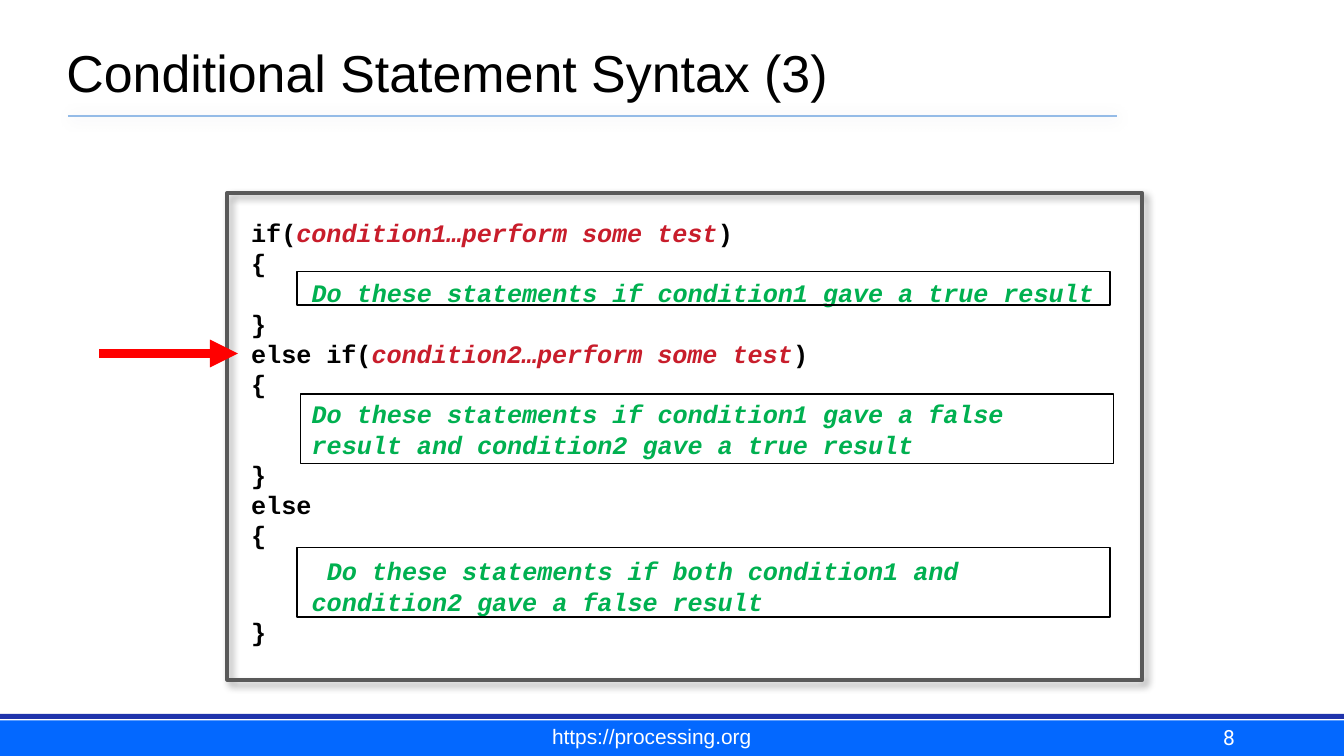
from typing import NamedTuple, Optional

from lxml import etree
from pptx import Presentation
from pptx.dml.color import RGBColor
from pptx.enum.shapes import MSO_CONNECTOR, MSO_SHAPE
from pptx.enum.text import MSO_ANCHOR, MSO_AUTO_SIZE, PP_ALIGN
from pptx.oxml.ns import qn
from pptx.util import Pt

RECT, LINE = MSO_SHAPE.RECTANGLE, MSO_CONNECTOR.STRAIGHT
TOP, BOTTOM, FIXED = MSO_ANCHOR.TOP, MSO_ANCHOR.BOTTOM, MSO_AUTO_SIZE.NONE
LEFT, MID, RIGHT = PP_ALIGN.LEFT, PP_ALIGN.CENTER, PP_ALIGN.RIGHT
BLACK, WHITE, RED, GREEN = "000000", "FFFFFF", "C81D2B", "00B050"
CODE_SIZE, PITCH = 13.5, 16.2
INDENT = 4 * 0.6 * CODE_SIZE  # four letters wide


class Shade(NamedTuple):
    tint: str
    alpha: int
    blur: float
    dist: float


class Box(NamedTuple):
    x: float
    y: float
    w: float
    h: float
    fill: Optional[str] = None
    edge: Optional[str] = None
    width: float = 0.75
    shade: Optional[Shade] = None


class Rule(NamedTuple):
    x: float
    y: float
    end: float
    tint: str
    width: float
    shade: Optional[Shade] = None
    arrow: bool = False


class Piece(NamedTuple):
    text: str
    tint: str = BLACK
    slant: bool = False


class Row(NamedTuple):
    pieces: tuple
    depth: int = 0
    first: float = 0
    before: float = 0


def paint(tint: str) -> RGBColor:
    return RGBColor.from_string(tint)


def apply(target, values: dict) -> None:
    for name, value in values.items():
        setattr(target, name, value)


def cast(item, shade: Optional[Shade]) -> None:
    """Replace the theme shadow by the given one, or by none."""
    props = item._element.spPr
    effects = props.find(qn("a:effectLst"))
    if effects is None:
        effects = etree.SubElement(props, qn("a:effectLst"))
    if shade:
        outer = etree.SubElement(
            effects, qn("a:outerShdw"), blurRad=str(Pt(shade.blur)),
            dist=str(Pt(shade.dist)), dir="2700000", algn="tl", rotWithShape="0")
        color = etree.SubElement(outer, qn("a:srgbClr"), val=shade.tint)
        etree.SubElement(color, qn("a:alpha"), val=str(shade.alpha * 1000))


def draw_box(slide, box: Box) -> None:
    item = slide.shapes.add_shape(RECT, Pt(box.x), Pt(box.y), Pt(box.w), Pt(box.h))
    item.shadow.inherit = False
    if box.fill:
        item.fill.solid()
        item.fill.fore_color.rgb = paint(box.fill)
    else:
        item.fill.background()
    if box.edge:
        item.line.color.rgb = paint(box.edge)
        item.line.width = Pt(box.width)
    else:
        item.line.fill.background()
    cast(item, box.shade)


def draw_rule(slide, rule: Rule) -> None:
    item = slide.shapes.add_connector(
        LINE, Pt(rule.x), Pt(rule.y), Pt(rule.end), Pt(rule.y))
    item.line.color.rgb = paint(rule.tint)
    item.line.width = Pt(rule.width)
    if rule.arrow:
        stroke = item._element.spPr.find(qn("a:ln"))
        etree.SubElement(stroke, qn("a:tailEnd"), type="triangle")
    cast(item, rule.shade)


def add_run(para, text: str, face: str, size: float, tint: str, **style) -> None:
    run = para.add_run()
    run.text = text
    apply(run.font, dict(name=face, size=Pt(size), **style))
    run.font.color.rgb = paint(tint)


def set_frame(item, area: tuple, anchor, side: float, edge: float, wrap: bool = True):
    apply(item, dict(zip(("left", "top", "width", "height"), map(Pt, area))))
    frame = item.text_frame
    apply(frame, dict(
        word_wrap=wrap, auto_size=FIXED, vertical_anchor=anchor,
        margin_left=Pt(side), margin_right=Pt(side),
        margin_top=Pt(edge), margin_bottom=Pt(edge)))
    return frame


def write(item, area, text, face, size, tint, align, side=4.5, edge=4.5) -> None:
    para = set_frame(item, area, BOTTOM, side, edge).paragraphs[0]
    para.alignment = align
    add_run(para, text, face, size, tint)


def write_code(item, area: tuple, rows: list) -> None:
    frame = set_frame(item, area, TOP, 7.2, 3.6, wrap=False)
    for i, row in enumerate(rows):
        para = frame.add_paragraph() if i else frame.paragraphs[0]
        apply(para, dict(alignment=LEFT, line_spacing=Pt(PITCH),
                         space_before=Pt(row.before)))
        props = para._p.get_or_add_pPr()
        props.set("marL", str(Pt(row.depth * INDENT)))
        props.set("indent", str(Pt(row.first)))
        for piece in row.pieces:
            add_run(para, piece.text, "Courier New", CODE_SIZE, piece.tint,
                    bold=True, italic=piece.slant)


def plain(text: str) -> Row:
    return Row((Piece(text),))


def test(start: str, text: str) -> Row:
    return Row((Piece(start), Piece(text, RED, True), Piece(")")))


def step(text: str, first: float = 0, before: float = 0) -> Row:
    return Row((Piece(text, GREEN, True),), 1, first, before)


BANDS = [Box(0, 386, 720, 19, fill="0368FF"), Box(0, 382.4, 720, 2.8, fill="1F33AB")]
BOXES = [
    Box(161, 211, 435.6, 37.4, edge=BLACK),
    Box(159.1, 145.4, 435.6, 18, edge=BLACK),
    Box(159.1, 293.2, 435.6, 37.4, edge=BLACK),
    Box(121.7, 103.5, 490.3, 260.8, edge="595959", width=2,
        shade=Shade(BLACK, 40, 4, 3)),
]
ROWS = [
    test("if(", "condition1…perform some test"),
    plain("{"),
    step("Do these statements if condition1 gave a true result"),
    plain("}"),
    test("else if(", "condition2…perform some test"),
    plain("{"),
    step("Do these statements if condition1 gave a false"),
    step("result and condition2 gave a true result"),
    plain("}"),
    plain("else"),
    plain("{"),
    step("Do these statements if both condition1 and", first=8.1, before=3),
    step("condition2 gave a false result"),
    plain("}"),
]


def main() -> None:
    deck = Presentation()
    apply(deck, dict(slide_width=Pt(720), slide_height=Pt(405)))
    slide = deck.slides.add_slide(deck.slide_layouts[5])

    # Footer bands and title
    for band in BANDS:
        draw_box(slide, band)
    draw_rule(slide, Rule(36.7, 62, 598.3, "94BBE7", 1, Shade("003D62", 20, 8, 1)))
    write(slide.shapes.title, (31, 0, 612, 59.8), "Conditional Statement Syntax (3)",
          "Arial", 27.8, BLACK, LEFT)

    # Footer text
    def new():
        return slide.shapes.add_textbox(0, 0, 0, 0)

    write(new(), (516.2, 383.8, 149.8, 22.3), "8", "Roboto", 11.2, WHITE, RIGHT)
    write(new(), (253.4, 385.2, 191.5, 18.7), "https://processing.org",
          "Arial", 11.2, WHITE, MID, 5.8, 2.9)

    # Code, its boxes and the arrow
    write_code(new(), (127.5, 112.7, 473.8, 248.4), ROWS)
    for box in BOXES:
        draw_box(slide, box)
    draw_rule(slide, Rule(53.3, 189.4, 127.4, "FF0000", 5, arrow=True))

    deck.save("out.pptx")


if __name__ == "__main__":
    main()
